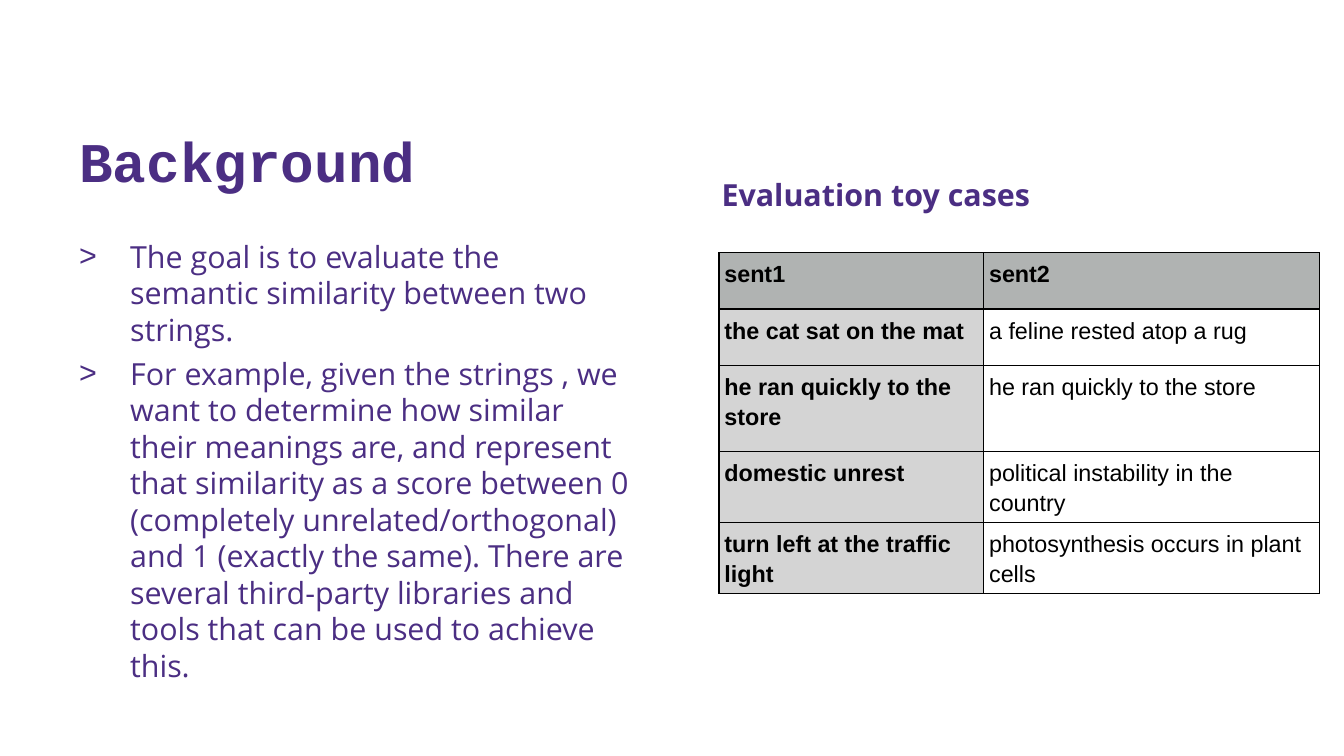
from dataclasses import dataclass

from pptx import Presentation
from pptx import util as u
from pptx.dml.color import RGBColor
from pptx.enum import text
from pptx.oxml import parse_xml
from pptx.oxml.ns import nsdecls


@dataclass(frozen=True)
class Theme:
    """Colours, fonts and type sizes of the slide."""
    accent: str = "4B2E83"
    ink: str = "000000"
    header: str = "B0B3B2"
    label: str = "D4D4D4"
    title_font: str = "Courier New"
    body_font: str = "Open Sans"
    table_font: str = "Arial"
    title_size: float = 30
    body_size: float = 16.3
    table_size: float = 12.5
    table_leading: float = 1.15


THEME = Theme()
GOALS = (
    "The goal is to evaluate the semantic similarity between two strings.",
    "For example, given the strings , we want to determine how similar their "
    "meanings are, and represent that similarity as a score between 0 "
    "(completely unrelated/orthogonal) and 1 (exactly the same). There are "
    "several third-party libraries and tools that can be used to achieve this.",
)
CASES = (
    ("sent1", "sent2"),
    ("the cat sat on the mat", "a feline rested atop a rug"),
    ("he ran quickly to the store", "he ran quickly to the store"),
    ("domestic unrest", "political instability in the country"),
    ("turn left at the traffic light", "photosynthesis occurs in plant cells"),
)
COLUMN_WIDTHS = (1.97, 2.5)
ROW_HEIGHTS = (0.42, 0.42, 0.64, 0.42, 0.42)


def add_run(paragraph, words, font, size, color, bold=False):
    """Add one formatted run to a paragraph."""
    run = paragraph.add_run()
    run.text = words
    run.font.name = font
    run.font.size = u.Pt(size)
    run.font.bold = bold
    run.font.color.rgb = RGBColor.from_string(color)


def place(shape, box):
    """Move a shape to a box of left, top, width and height in inches."""
    shape.left, shape.top, shape.width, shape.height = map(u.Inches, box)


def add_title(slide, box, words):
    """Place the title placeholder and write its text."""
    title = slide.shapes.title
    place(title, box)
    frame = title.text_frame
    frame.auto_size = text.MSO_AUTO_SIZE.NONE
    frame.vertical_anchor = text.MSO_ANCHOR.BOTTOM
    paragraph = frame.paragraphs[0]
    paragraph.alignment = text.PP_ALIGN.LEFT
    add_run(paragraph, words, THEME.title_font, THEME.title_size, THEME.accent, True)


def add_bullet(paragraph):
    """Give a paragraph a hanging angle-bracket bullet."""
    properties = paragraph._p.get_or_add_pPr()
    properties.set("marL", str(u.Inches(0.38)))
    properties.set("indent", str(-u.Inches(0.38)))
    for tag in (
        f'<a:buClr {nsdecls("a")}><a:srgbClr val="{THEME.accent}"/></a:buClr>',
        f'<a:buFont {nsdecls("a")} typeface="{THEME.table_font}"/>',
        f'<a:buChar {nsdecls("a")} char="&gt;"/>',
    ):
        properties.append(parse_xml(tag))


def add_body(slide, box, lines, bulleted=False, bold=False):
    """Add a text box with one paragraph for each line."""
    frame = slide.shapes.add_textbox(*map(u.Inches, box)).text_frame
    frame.word_wrap = True
    for index, line in enumerate(lines):
        paragraph = frame.add_paragraph() if index else frame.paragraphs[0]
        paragraph.space_before = u.Pt(4)
        if bulleted:
            add_bullet(paragraph)
        add_run(paragraph, line, THEME.body_font, THEME.body_size, THEME.accent, bold)


def format_cell(cell, words, fill, bold):
    """Write a table cell with its borders, fill and margins."""
    cell.margin_left = cell.margin_right = cell.margin_top = u.Inches(0.04)
    cell.margin_bottom = u.Inches(0.01)
    properties = cell._tc.get_or_add_tcPr()
    for side in ("lnL", "lnR", "lnT", "lnB"):
        properties.append(parse_xml(
            f'<a:{side} {nsdecls("a")} w="{u.Pt(0.75)}"><a:solidFill>'
            f'<a:srgbClr val="{THEME.ink}"/></a:solidFill></a:{side}>'))
    if fill:
        cell.fill.solid()
        cell.fill.fore_color.rgb = RGBColor.from_string(fill)
    else:
        cell.fill.background()
    paragraph = cell.text_frame.paragraphs[0]
    paragraph.line_spacing = THEME.table_leading
    add_run(paragraph, words, THEME.table_font, THEME.table_size, THEME.ink, bold)


def add_cases(slide, left, top):
    """Add the table of sentence pairs with its top left corner at a point."""
    box = (left, top, sum(COLUMN_WIDTHS), sum(ROW_HEIGHTS))
    table = slide.shapes.add_table(
        len(CASES), len(COLUMN_WIDTHS), *map(u.Inches, box)).table
    table.first_row = table.horz_banding = False
    for column, width in zip(table.columns, COLUMN_WIDTHS):
        column.width = u.Inches(width)
    for row, height in zip(table.rows, ROW_HEIGHTS):
        row.height = u.Inches(height)
    for row_index, case in enumerate(CASES):
        for column_index, words in enumerate(case):
            fill = THEME.label if column_index == 0 else None
            if row_index == 0:
                fill = THEME.header
            format_cell(table.cell(row_index, column_index), words, fill, fill is not None)


def main():
    """Build and save the presentation."""
    presentation = Presentation()
    presentation.slide_width = u.Inches(10)
    presentation.slide_height = u.Inches(10 * 9 / 16)
    slide = presentation.slides.add_slide(presentation.slide_layouts[5])
    add_body(slide, (0.49, 1.72, 4.31, 3.63), GOALS, bulleted=True)
    add_title(slide, (0.49, 0.4, 8.96, 1.09), "Background")
    add_cases(slide, 5.35, 1.88)
    add_body(slide, (5.27, 1.26, 4.31, 0.46), ("Evaluation toy cases",), bold=True)
    presentation.save("out.pptx")


if __name__ == "__main__":
    main()
